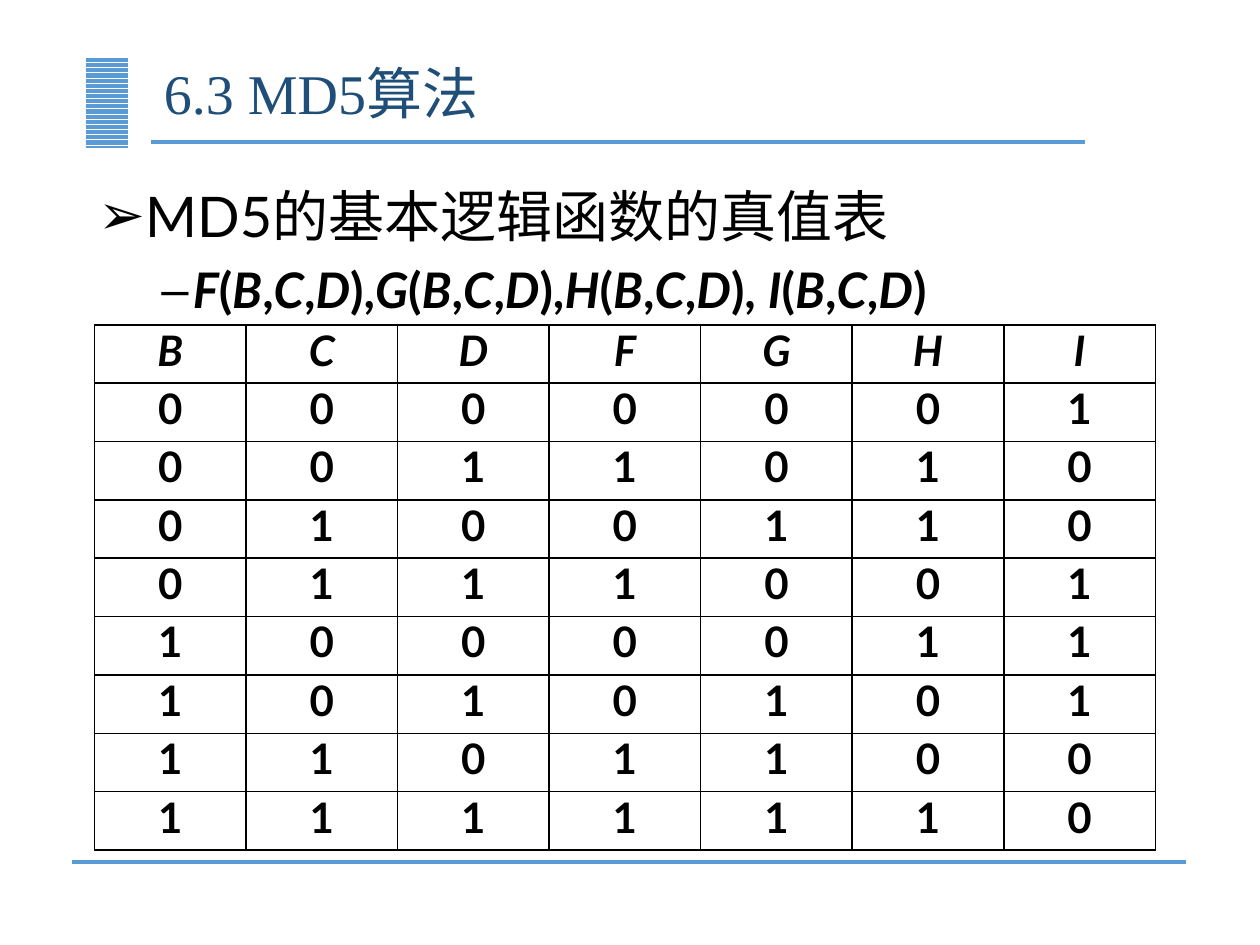
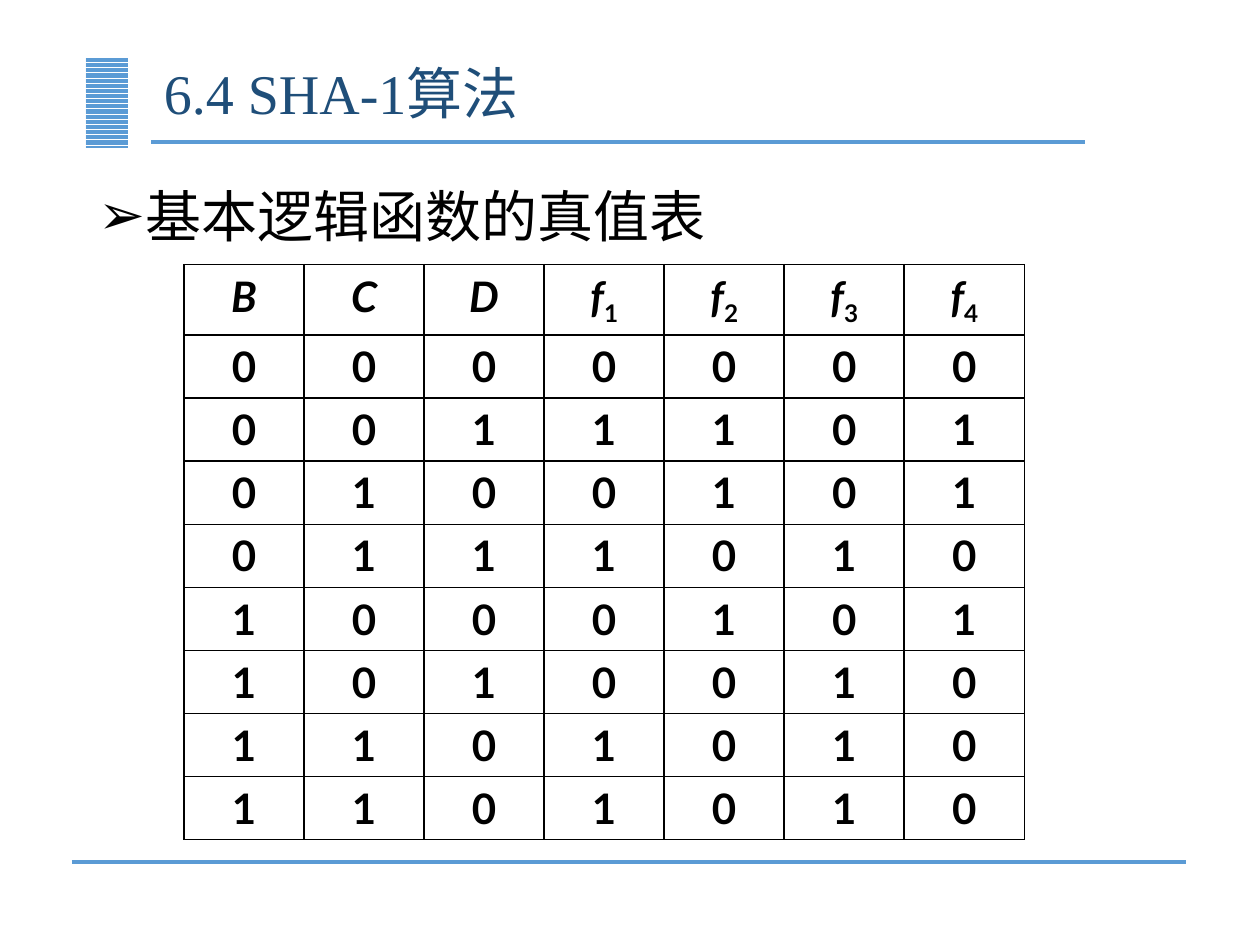
"""Build two slides with the truth tables of the MD5 and SHA-1 logic functions."""
from dataclasses import dataclass
from itertools import groupby
from typing import Optional

from lxml.etree import SubElement
from pptx import Presentation
from pptx.dml.color import RGBColor
from pptx.enum.dml import MSO_PATTERN
from pptx.enum.shapes import MSO_CONNECTOR, MSO_SHAPE
from pptx.enum.text import MSO_ANCHOR, MSO_AUTO_SIZE, PP_ALIGN
from pptx.oxml.ns import qn
from pptx.util import Inches, Pt

BLUE = RGBColor(0x5B, 0x9B, 0xD5)
NAVY = RGBColor(0x1F, 0x4E, 0x79)
BLACK = RGBColor(0, 0, 0)
WHITE = RGBColor(0xFF, 0xFF, 0xFF)
TITLE_FONT = "Times New Roman"
BODY_FONT = "Lato"


@dataclass(frozen=True)
class Rule:
    left: float
    right: float
    top: float


@dataclass(frozen=True)
class Bullet:
    mark: str
    indent: float
    level: int
    size: int


@dataclass(frozen=True)
class TruthTable:
    left: float
    top: float
    width: float
    height: float
    header_height: float
    headers: tuple[str, ...]
    rows: tuple[str, ...]
    side_margin: float = 0.1
    top_margin: float = 0.05


@dataclass(frozen=True)
class Topic:
    title: str
    heading: str
    table: TruthTable
    formula: Optional[str] = None


RULES = (Rule(1.2, 8.61, 1.13), Rule(0.57, 9.41, 6.84))
HEADING = Bullet("➢", 0.25, 0, 32)
FORMULA = Bullet("‒", 0.75, 1, 28)

TOPICS = (
    Topic(
        "6.3 MD5算法",
        "MD5的基本逻辑函数的真值表",
        TruthTable(
            0.75, 2.58, 8.42, 4.17, 0.46,
            ("B", "C", "D", "F", "G", "H", "I"),
            ("0000001", "0011010", "0100110", "0111001",
             "1000011", "1010101", "1101100", "1111110"),
            side_margin=0.07, top_margin=0,
        ),
        "F(B,C,D),G(B,C,D),H(B,C,D), I(B,C,D)",
    ),
    Topic(
        "6.4 SHA-1算法",
        "基本逻辑函数的真值表",
        TruthTable(
            1.46, 2.1, 6.67, 4.56, 0.56,
            ("B", "C", "D", "f1", "f2", "f3", "f4"),
            ("0000000", "0011101", "0100101", "0111010",
             "1000101", "1010010", "1101010", "1101010"),
        ),
    ),
)


def add_text(para, text: str, *, size: int, font: str = BODY_FONT, color: RGBColor = BLACK,
             bold: bool = False, italic: bool = False, subscript: bool = False) -> None:
    """Append one formatted span to a paragraph."""
    span = para.add_run()
    span.text = text
    span.font.size = Pt(size)
    span.font.name = font
    span.font.color.rgb = color
    span.font.bold = bold
    span.font.italic = italic
    if subscript:
        span.font._element.set("baseline", "-25000")


def add_math(para, text: str, *, size: int, subscripts: bool = False) -> None:
    """Append bold text with italic letters and, if asked, lowered digits."""
    for is_letter, letters in groupby(text, str.isalpha):
        add_text(para, "".join(letters), size=size, bold=True, italic=is_letter,
                 subscript=subscripts and not is_letter)


def place(box, left: float, top: float, width: float, height: float) -> None:
    """Move and size a shape, given inches."""
    box.left, box.top = Inches(left), Inches(top)
    box.width, box.height = Inches(width), Inches(height)


def draw_frame(page) -> None:
    """Draw the striped block and rules, then share them through the layout."""
    block = page.shapes.add_shape(MSO_SHAPE.RECTANGLE, Inches(0.68), Inches(0.45),
                                  Inches(0.34), Inches(0.72))
    block.shadow.inherit = False
    block.fill.patterned()
    block.fill.pattern = MSO_PATTERN.DARK_HORIZONTAL
    block.fill.fore_color.rgb = BLUE
    block.fill.back_color.rgb = WHITE
    block.line.fill.background()
    parts = [block]
    for rule in RULES:
        line = page.shapes.add_connector(MSO_CONNECTOR.STRAIGHT, Inches(rule.left),
                                         Inches(rule.top), Inches(rule.right), Inches(rule.top))
        line.line.color.rgb = BLUE
        line.line.width = Pt(2.25)
        SubElement(line.element.spPr, qn("a:effectLst"))
        parts.append(line)
    for part in parts:
        page.slide_layout.shapes.element.append(part.element)


def start_bullet(para, bullet: Bullet) -> None:
    """Give a paragraph its level, indent, spacing and bullet mark."""
    para.level = bullet.level
    para.alignment = PP_ALIGN.JUSTIFY
    para.line_spacing = 1.2
    para.space_before = Pt(0)
    properties = para._p.get_or_add_pPr()
    properties.set("marL", str(Inches(bullet.indent)))
    properties.set("indent", str(Inches(-0.25)))
    SubElement(properties, qn("a:buChar")).set("char", bullet.mark)


def draw_borders(cell) -> None:
    """Put a thin black line on each side of a cell and leave it unfilled."""
    properties = cell._tc.get_or_add_tcPr()
    for side in ("a:lnL", "a:lnR", "a:lnT", "a:lnB"):
        border = SubElement(properties, qn(side))
        border.set("w", str(Pt(1)))
        paint = SubElement(border, qn("a:solidFill"))
        SubElement(paint, qn("a:srgbClr")).set("val", str(BLACK))
    cell.fill.background()


def draw_table(page, table: TruthTable) -> None:
    """Draw a truth table with even columns and even value rows."""
    lines = (table.headers, *table.rows)
    grid = page.shapes.add_table(len(lines), len(table.headers), Inches(table.left),
                                 Inches(table.top), Inches(table.width),
                                 Inches(table.height)).table
    grid.first_row = grid.horz_banding = False
    row_height = (table.height - table.header_height) / len(table.rows)
    for row, values in enumerate(lines):
        grid.rows[row].height = Inches(row_height if row else table.header_height)
        for column, value in enumerate(values):
            cell = grid.cell(row, column)
            cell.margin_left = cell.margin_right = Inches(table.side_margin)
            cell.margin_top = cell.margin_bottom = Inches(table.top_margin)
            draw_borders(cell)
            para = cell.text_frame.paragraphs[0]
            para.alignment = PP_ALIGN.CENTER
            add_math(para, value, size=24, subscripts=row == 0)


def fill_page(page, topic: Topic) -> None:
    """Write the title, list and table of one topic."""
    title = page.shapes.title.text_frame
    title.vertical_anchor = MSO_ANCHOR.MIDDLE
    title.auto_size = MSO_AUTO_SIZE.NONE
    title_para = title.paragraphs[0]
    title_para.alignment = PP_ALIGN.LEFT
    title_para.line_spacing = 0.9
    add_text(title_para, topic.title, size=32, font=TITLE_FONT, color=NAVY)

    body = page.placeholders[1].text_frame
    body.auto_size = MSO_AUTO_SIZE.NONE
    heading = body.paragraphs[0]
    start_bullet(heading, HEADING)
    add_text(heading, topic.heading, size=HEADING.size)
    if topic.formula:
        formula = body.add_paragraph()
        start_bullet(formula, FORMULA)
        add_math(formula, topic.formula, size=FORMULA.size)
    draw_table(page, topic.table)


def main() -> None:
    """Build and save the deck."""
    deck = Presentation()
    deck.slide_width, deck.slide_height = Inches(10), Inches(7.5)
    layout = deck.slide_layouts[1]
    place(layout.placeholders[0], 1.2, 0.4, 7.41, 0.73)
    place(layout.placeholders[1], 0.68, 1.28, 8.62, 5.44)
    pages = [deck.slides.add_slide(layout) for _ in TOPICS]
    draw_frame(pages[0])
    for page, topic in zip(pages, TOPICS):
        fill_page(page, topic)
    deck.save("out.pptx")


if __name__ == "__main__":
    main()
